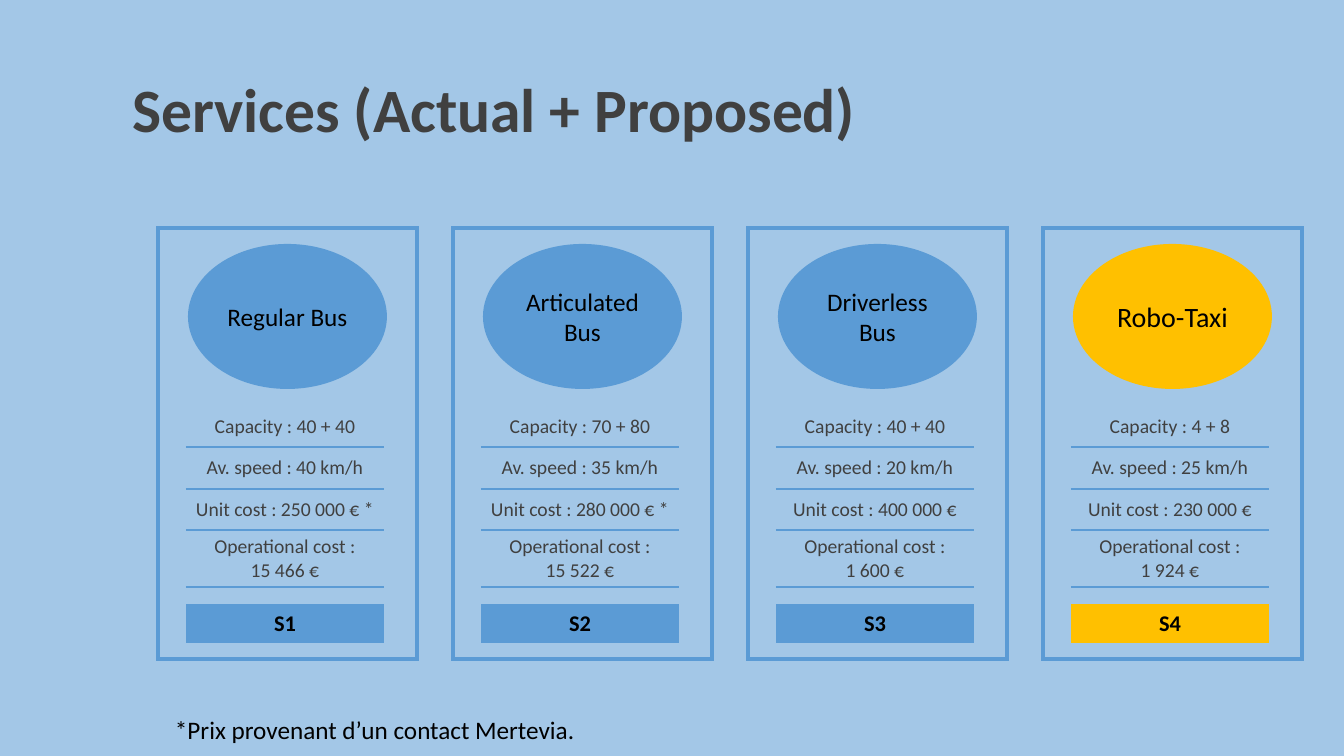
from lxml import etree
from pptx import Presentation
from pptx.dml.color import RGBColor
from pptx.enum.shapes import MSO_SHAPE
from pptx.enum.text import MSO_ANCHOR, MSO_AUTO_SIZE, PP_ALIGN
from pptx.oxml.ns import qn
from pptx.util import Emu, Pt

ELLIPSE = MSO_SHAPE.OVAL
MIDDLE, TOP = MSO_ANCHOR.MIDDLE, MSO_ANCHOR.TOP
LEFT, CENTER = PP_ALIGN.LEFT, PP_ALIGN.CENTER
NO_AUTOFIT = MSO_AUTO_SIZE.NONE

SCALE = 914400 / 100.8
COLORS = {"background": "A3C7E7", "blue": "5B9BD5", "gold": "FFC000",
          "gray": "404040", "black": "000000"}
NO_GRID_STYLE = "{2D5ABB26-0587-4C30-8999-92F81FD0307C}"

COLUMNS = [28, 198, 33]
ROWS = [178, 41, 42, 41, 57, 17, 39, 16]
LAST_COLUMN, LAST_ROW = len(COLUMNS) - 1, len(ROWS) - 1
FACT_ROWS = range(1, 5)
BADGE_ROW = 6
CARD_LEFT, CARD_TOP, CARD_PITCH = 158, 228, 295

SERVICES = [
    ("Regular Bus", 18, "blue", "S1",
     ["Capacity : 40 + 40", "Av. speed : 40 km/h",
      "Unit cost : 250 000 € *", "Operational cost :\n15 466 €"]),
    ("Articulated Bus", 18, "blue", "S2",
     ["Capacity : 70 + 80", "Av. speed : 35 km/h",
      "Unit cost : 280 000 € *", "Operational cost :\n15 522 €"]),
    ("Driverless Bus", 18, "blue", "S3",
     ["Capacity : 40 + 40", "Av. speed : 20 km/h",
      "Unit cost : 400 000 €", "Operational cost :\n1 600 €"]),
    ("Robo-Taxi", 20, "gold", "S4",
     ["Capacity : 4 + 8", "Av. speed : 25 km/h",
      "Unit cost : 230 000 €", "Operational cost :\n1 924 €"]),
]


def px(length):
    return Emu(round(length * SCALE))


def color(name):
    return RGBColor.from_string(COLORS[name])


def write(frame, text, size=14, fill="gray", bold=False, align=LEFT, spacing=None):
    frame.text = text
    for paragraph in frame.paragraphs:
        paragraph.alignment = align
        paragraph.line_spacing = spacing
        for run in paragraph.runs:
            run.font.name = "Calibri"
            run.font.size = Pt(size)
            run.font.bold = bold
            run.font.color.rgb = color(fill)


def draw_borders(cell, borders):
    properties = cell._tc.get_or_add_tcPr()
    for side in "LRTB":
        line = etree.SubElement(properties, qn(f"a:ln{side}"))
        if side in borders:
            line.set("w", str(Pt(borders[side])))
            solid = etree.SubElement(line, qn("a:solidFill"))
            etree.SubElement(solid, qn("a:srgbClr"), val=COLORS["blue"])
        else:
            line.set("w", "0")
            etree.SubElement(line, qn("a:noFill"))


def card_borders(row, column):
    borders = {}
    if column == 0:
        borders["L"] = 3
    if column == LAST_COLUMN or row == 0:
        borders["R"] = 3
    if row == 0:
        borders["T"] = 3
    if row == LAST_ROW:
        borders["B"] = 3
    if column == 1 and row in FACT_ROWS:
        borders["B"] = 1.5
    if column == 1 and row - 1 in FACT_ROWS:
        borders["T"] = 1.5
    return borders


class SlideBuilder:
    def __init__(self, presentation):
        self.slide = presentation.slides.add_slide(presentation.slide_layouts[5])
        background = self.slide.background.fill
        background.solid()
        background.fore_color.rgb = color("background")

    def title(self, text, left, top, width, height):
        shape = self.slide.shapes.title
        shape.left, shape.top = px(left), px(top)
        shape.width, shape.height = px(width), px(height)
        frame = shape.text_frame
        frame.auto_size = NO_AUTOFIT
        frame.vertical_anchor = MIDDLE
        write(frame, text, size=44, bold=True, spacing=0.9)

    def ellipse(self, text, size, fill, left, top, width, height):
        shape = self.slide.shapes.add_shape(
            ELLIPSE, px(left), px(top), px(width), px(height))
        shape.shadow.inherit = False
        shape.fill.solid()
        shape.fill.fore_color.rgb = color(fill)
        shape.line.fill.background()
        frame = shape.text_frame
        frame.word_wrap = True
        frame.vertical_anchor = MIDDLE
        frame.margin_left = frame.margin_right = px(6)
        write(frame, text, size=size, fill="black", align=CENTER)

    def card(self, facts, badge, fill, left, top):
        table = self.slide.shapes.add_table(
            len(ROWS), len(COLUMNS), px(left), px(top),
            px(sum(COLUMNS)), px(sum(ROWS))).table
        table.first_row = table.horz_banding = False
        table._tbl.tblPr.find(qn("a:tableStyleId")).text = NO_GRID_STYLE
        for column, width in zip(table.columns, COLUMNS):
            column.width = px(width)
        for row, height in zip(table.rows, ROWS):
            row.height = px(height)
        for row in range(len(ROWS)):
            for column in range(len(COLUMNS)):
                cell = table.cell(row, column)
                draw_borders(cell, card_borders(row, column))
                cell.fill.background()
                cell.vertical_anchor = MIDDLE
                cell.margin_top = cell.margin_bottom = 0
                cell.margin_left = cell.margin_right = px(5)
                if column == 1 and row in FACT_ROWS:
                    write(cell.text_frame, facts[row - 1], align=CENTER)
                elif column == 1 and row == BADGE_ROW:
                    cell.fill.solid()
                    cell.fill.fore_color.rgb = color(fill)
                    write(cell.text_frame, badge, size=16, fill="black",
                          bold=True, align=CENTER)
                else:
                    paragraph = cell.text_frame.paragraphs[0]
                    etree.SubElement(paragraph._p, qn("a:endParaRPr"), sz="600")
        table.cell(0, 0).merge(table.cell(0, LAST_COLUMN))
        for column in (0, LAST_COLUMN):
            table.cell(2, column).merge(table.cell(4, column))

    def note(self, text, left, top, width, height):
        shape = self.slide.shapes.add_textbox(
            px(left), px(top), px(width), px(height))
        frame = shape.text_frame
        frame.word_wrap = True
        frame.vertical_anchor = TOP
        write(frame, text, size=18, fill="black")


def main():
    presentation = Presentation()
    presentation.slide_width, presentation.slide_height = px(1344), px(756)
    builder = SlideBuilder(presentation)
    builder.title("Services (Actual + Proposed)", 122, 40, 1159, 146)
    for index, (name, size, fill, badge, facts) in enumerate(SERVICES):
        left = CARD_LEFT + index * CARD_PITCH
        builder.card(facts, badge, fill, left, CARD_TOP)
        builder.ellipse(name, size, fill, left + 30, CARD_TOP + 16, 199, 145)
    builder.note("*Prix provenant d’un contact Mertevia.", 165, 709, 431, 40)
    presentation.save("out.pptx")


if __name__ == "__main__":
    main()
